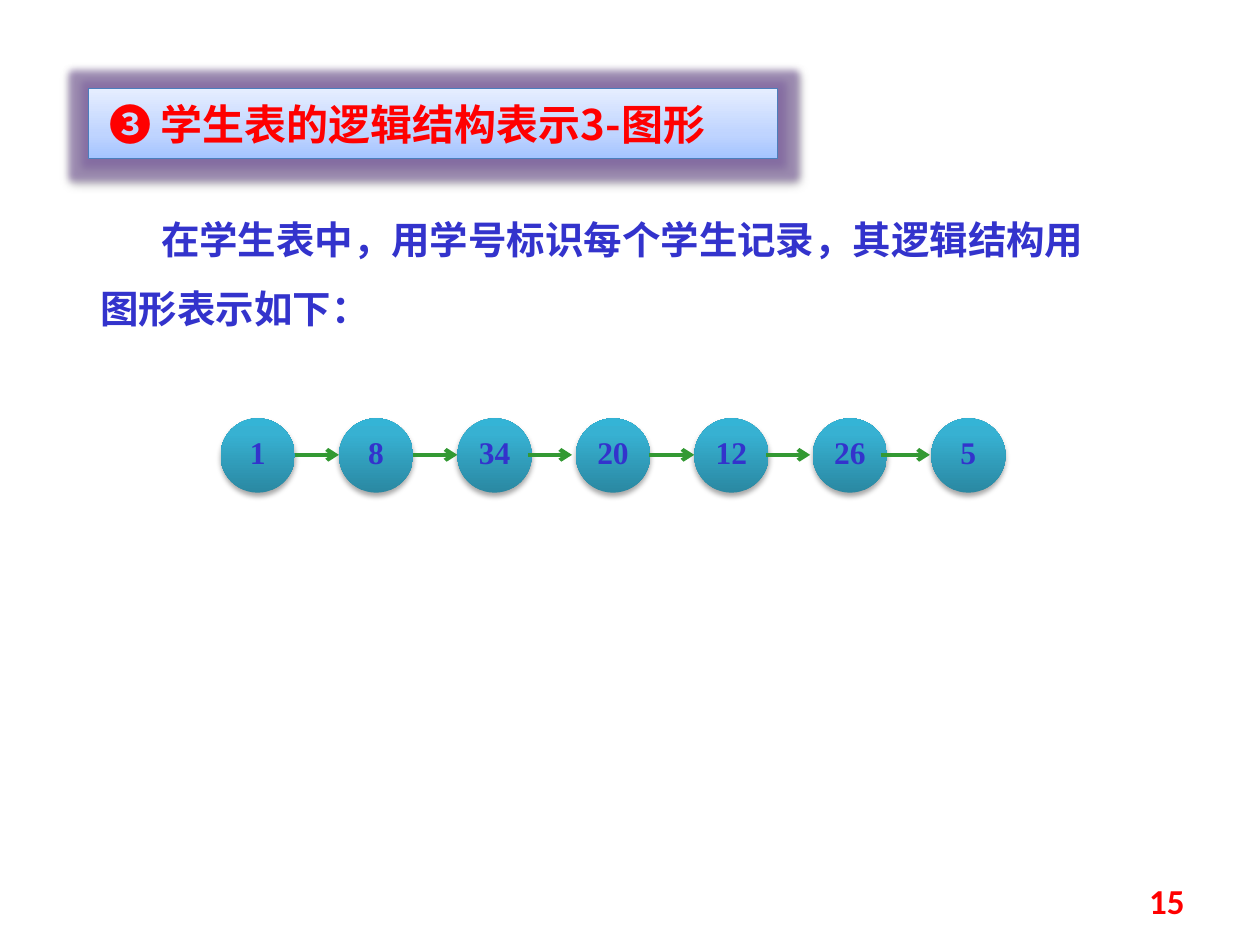
import pptx
import pptx.util
import pptx.oxml
import pptx.oxml.ns
import pptx.dml.color
import pptx.enum.shapes
import pptx.enum.text
from lxml import etree

Inches = pptx.util.Inches
Pt = pptx.util.Pt
RGBColor = pptx.dml.color.RGBColor
Shape = pptx.enum.shapes.MSO_SHAPE
Anchor = pptx.enum.text.MSO_ANCHOR
Align = pptx.enum.text.PP_ALIGN
qn = pptx.oxml.ns.qn

COLORS = {
    "blue": "3333CC",
    "red": "FF0000",
    "arrow": "339933",
    "title_line": "4B7EBC",
    "glow": "8064A2",
    "shadow": "000000",
}
NODE_STOPS = [(0, "2A88A2"), (80, "37B1D2"), (100, "34B4D6")]
TITLE_STOPS = [(0, "A4C4FF"), (35, "BFD4FF"), (100, "E6EEFF")]


def write_text(shape, text, font, size, color, align, anchor):
    frame = shape.text_frame
    frame.word_wrap = True
    frame.vertical_anchor = anchor
    paragraph = frame.paragraphs[0]
    paragraph.alignment = align
    run = paragraph.add_run()
    run.text = text
    run.font.name = font
    run.font.size = Pt(size)
    run.font.bold = True
    run.font.color.rgb = RGBColor.from_string(COLORS[color])
    east_asian = etree.SubElement(run.font._element, qn("a:ea"))
    east_asian.set("typeface", "Noto Sans CJK SC")
    return paragraph


def style_shape(shape, stops, alpha, distance, glow=""):
    stop_xml = "".join(
        f'<a:gs pos="{position * 1000}"><a:srgbClr val="{color}"/></a:gs>'
        for position, color in stops
    )
    namespace = pptx.oxml.ns.nsdecls("a")
    properties = shape._element.spPr
    properties.append(pptx.oxml.parse_xml(
        f'<a:gradFill {namespace} rotWithShape="1"><a:gsLst>{stop_xml}</a:gsLst>'
        '<a:lin ang="16200000" scaled="0"/></a:gradFill>'))
    shape.line.fill.background()
    properties.append(pptx.oxml.parse_xml(
        f'<a:effectLst {namespace}>{glow}'
        f'<a:outerShdw blurRad="{Pt(3.1)}" dist="{Pt(distance)}" dir="5400000" rotWithShape="0">'
        f'<a:srgbClr val="{COLORS["shadow"]}"><a:alpha val="{alpha * 1000}"/></a:srgbClr>'
        '</a:outerShdw></a:effectLst>'))


presentation = pptx.Presentation()
presentation.slide_width = Inches(10)
presentation.slide_height = Inches(7.5)
slide = presentation.slides.add_slide(presentation.slide_layouts[6])

body = slide.shapes.add_textbox(Inches(0.7), Inches(1.48), Inches(8.13), Inches(1.21))
paragraph = write_text(body, "在学生表中，用学号标识每个学生记录，其逻辑结构用图形表示如下：",
                       "Times New Roman", 22, "blue", Align.LEFT, Anchor.TOP)
paragraph.line_spacing = 1.5
paragraph._p.get_or_add_pPr().set("indent", str(Inches(0.48)))

node_size = 0.59
node_step = 0.94
for index, number in enumerate(["1", "8", "34", "20", "12", "26", "5"]):
    node = slide.shapes.add_shape(
        Shape.OVAL, Inches(1.75 + index * node_step), Inches(3.32),
        Inches(node_size), Inches(node_size))
    style_shape(node, NODE_STOPS, 35, 1.8)
    node.text_frame.margin_left = node.text_frame.margin_right = 0
    paragraph = write_text(node, number, "Times New Roman", 18, "blue",
                           Align.CENTER, Anchor.MIDDLE)
    paragraph.line_spacing = 0.8

for start, end in [(2.34, 2.69), (3.28, 3.63), (4.19, 4.54),
                   (5.15, 5.51), (6.08, 6.43), (6.99, 7.38)]:
    arrow = slide.shapes.add_connector(
        pptx.enum.shapes.MSO_CONNECTOR.STRAIGHT,
        Inches(start), Inches(3.61), Inches(end), Inches(3.61))
    arrow.line.color.rgb = RGBColor.from_string(COLORS["arrow"])
    arrow.line.width = Pt(2.25)
    etree.SubElement(arrow.line._get_or_add_ln(), qn("a:tailEnd")).set("type", "arrow")
    etree.SubElement(arrow._element.spPr, qn("a:effectLst"))

title = slide.shapes.add_shape(
    Shape.RECTANGLE, Inches(0.7), Inches(0.7), Inches(5.47), Inches(0.56))
glow = (f'<a:glow rad="{Pt(8)}"><a:srgbClr val="{COLORS["glow"]}">'
        '<a:alpha val="60000"/></a:srgbClr></a:glow>')
style_shape(title, TITLE_STOPS, 38, 1.6, glow)
title.line.color.rgb = RGBColor.from_string(COLORS["title_line"])
title.line.width = Pt(0.75)
title.text_frame.margin_top = title.text_frame.margin_bottom = Inches(0.08)
paragraph = write_text(title, "❸ 学生表的逻辑结构表示3-图形", "Noto Sans CJK SC", 24, "red",
                       Align.LEFT, Anchor.MIDDLE)
paragraph._p.get_or_add_pPr().set("indent", str(Inches(0.07)))

page_number = slide.shapes.add_textbox(Inches(7.17), Inches(6.95), Inches(2.33), Inches(0.4))
write_text(page_number, "15", "Calibri", 20, "red", Align.RIGHT, Anchor.MIDDLE)

presentation.save("out.pptx")
